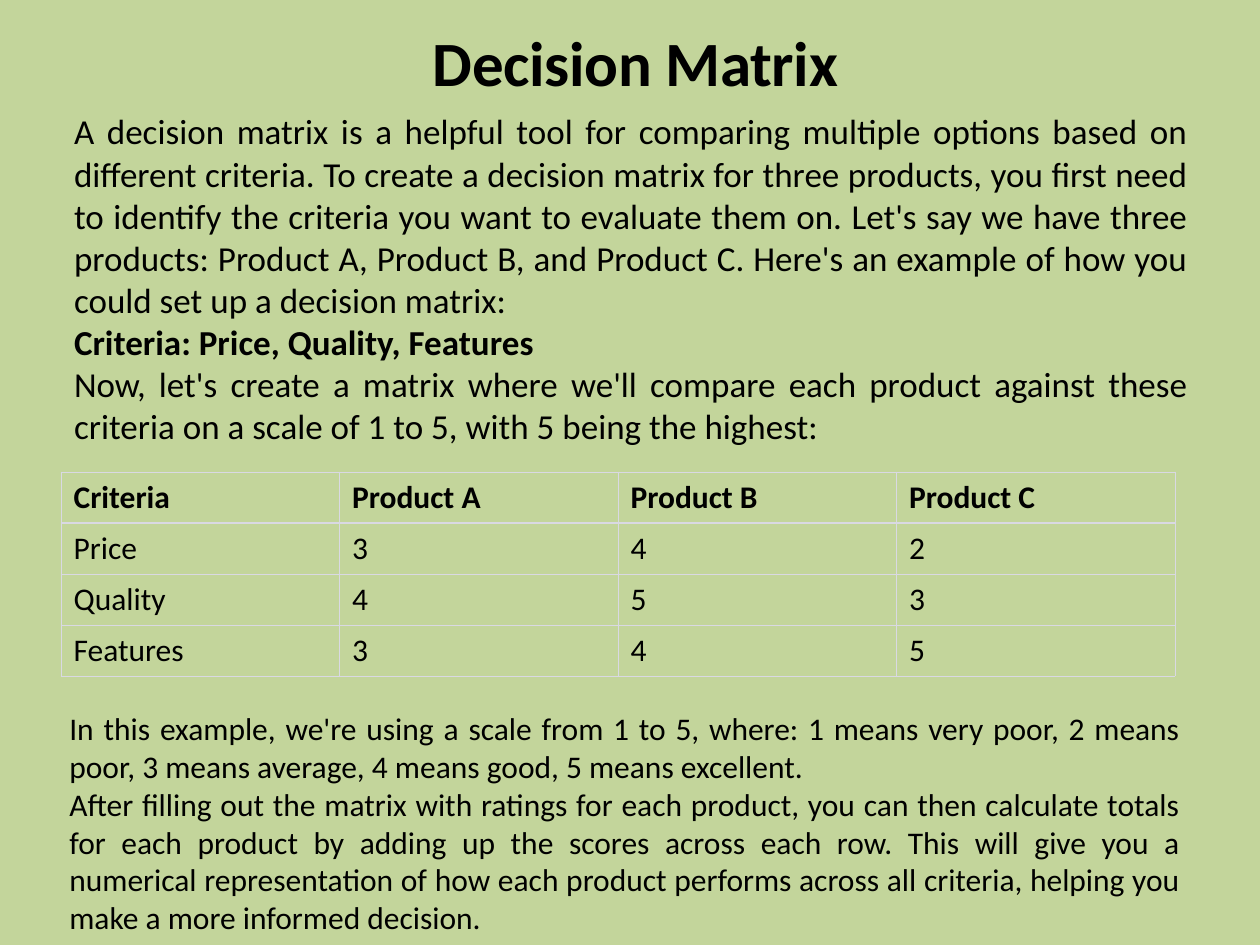
import pptx
import pptx.dml.color
import pptx.enum.text
import pptx.oxml
import pptx.oxml.ns
import pptx.util

PX = 914400 / 126
BLACK = pptx.dml.color.RGBColor(0x00, 0x00, 0x00)
GREEN = pptx.dml.color.RGBColor(0xC3, 0xD5, 0x9B)
BORDER = pptx.dml.color.RGBColor(0xD9, 0xD9, 0xE3)
ALIGN = pptx.enum.text.PP_ALIGN
ANCHOR = pptx.enum.text.MSO_ANCHOR

INTRODUCTION = [
    ("A decision matrix is a helpful tool for comparing multiple options based on "
     "different criteria. To create a decision matrix for three products, you first "
     "need to identify the criteria you want to evaluate them on. Let's say we have "
     "three products: Product A, Product B, and Product C. Here's an example of how "
     "you could set up a decision matrix:", False),
    ("Criteria: Price, Quality, Features", True),
    ("Now, let's create a matrix where we'll compare each product against these "
     "criteria on a scale of 1 to 5, with 5 being the highest:", False),
]
EXPLANATION = [
    ("In this example, we're using a scale from 1 to 5, where: 1 means very poor, "
     "2 means poor, 3 means average, 4 means good, 5 means excellent.", False),
    ("After filling out the matrix with ratings for each product, you can then "
     "calculate totals for each product by adding up the scores across each row. "
     "This will give you a numerical representation of how each product performs "
     "across all criteria, helping you make a more informed decision.", False),
]
MATRIX = [
    ("Criteria", "Product A", "Product B", "Product C"),
    ("Price", "3", "4", "2"),
    ("Quality", "4", "5", "3"),
    ("Features", "3", "4", "5"),
]


def px(length):
    return pptx.util.Emu(round(length * PX))


def set_values(target, values):
    for name, value in values.items():
        setattr(target, name, value)


def place(shape, left, top, width, height):
    set_values(shape, {"left": px(left), "top": px(top),
                       "width": px(width), "height": px(height)})


def add_run(paragraph, text, size, bold):
    run = paragraph.add_run()
    run.text = text
    set_values(run.font, {"name": "Calibri", "size": pptx.util.Pt(size), "bold": bold})
    run.font.color.rgb = BLACK
    return run


def remove_bullet(paragraph):
    properties = paragraph._p.get_or_add_pPr()
    set_indents = {"marL": "0", "indent": "0"}
    for name, value in set_indents.items():
        properties.set(name, value)
    properties.append(pptx.oxml.parse_xml(
        f"<a:buNone {pptx.oxml.ns.nsdecls('a')}/>"))


def set_frame(frame, margins):
    set_values(frame, {"word_wrap": True, "vertical_anchor": ANCHOR.TOP,
                       "auto_size": pptx.enum.text.MSO_AUTO_SIZE.SHAPE_TO_FIT_TEXT})
    set_values(frame, margins)


def fill_title(shape, text):
    place(shape, 74, 23, 1123, 77)
    set_frame(shape.text_frame, NO_MARGINS)
    paragraph = shape.text_frame.paragraphs[0]
    paragraph.alignment = ALIGN.CENTER
    run = add_run(paragraph, text, 36, True)
    run._r.get_or_add_rPr().set("spc", "-20")


def fill_paragraphs(frame, items, size):
    """Write (text, bold) items as justified paragraphs without bullets."""
    for index, (text, bold) in enumerate(items):
        paragraph = frame.add_paragraph() if index else frame.paragraphs[0]
        remove_bullet(paragraph)
        set_values(paragraph, {"alignment": ALIGN.JUSTIFY,
                               "space_before": pptx.util.Pt(0)})
        add_run(paragraph, text, size, bold)


def set_borders(cell, bottom_width):
    properties = cell._tc.get_or_add_tcPr()
    widths = {"lnL": 0.5, "lnR": 0.5, "lnT": 0.5, "lnB": bottom_width}
    for tag, width in widths.items():
        properties.append(pptx.oxml.parse_xml(
            f'<a:{tag} {pptx.oxml.ns.nsdecls("a")} w="{pptx.util.Pt(width)}">'
            f'<a:solidFill><a:srgbClr val="{BORDER}"/></a:solidFill></a:{tag}>'))


def add_matrix(slide, rows):
    table = slide.shapes.add_table(len(rows), len(rows[0]), px(61), px(472),
                                   px(1114), px(204)).table
    set_values(table, {"first_row": False, "horz_banding": False})
    for row_index, row in enumerate(rows):
        is_header = row_index == 0
        for column_index, text in enumerate(row):
            cell = table.cell(row_index, column_index)
            set_borders(cell, 1 if is_header else 0.5)
            cell.fill.background()
            cell.vertical_anchor = ANCHOR.BOTTOM if is_header else ANCHOR.MIDDLE
            add_run(cell.text_frame.paragraphs[0], text, 18, is_header)


NO_MARGINS = {"margin_left": 0, "margin_top": 0, "margin_right": 0, "margin_bottom": 0}


def main():
    presentation = pptx.Presentation()
    set_values(presentation, {"slide_width": px(1260), "slide_height": px(945)})
    slide = presentation.slides.add_slide(presentation.slide_layouts[1])
    slide.background.fill.solid()
    slide.background.fill.fore_color.rgb = GREEN

    fill_title(slide.shapes.title, "Decision Matrix")

    introduction = slide.placeholders[1]
    place(introduction, 74, 110, 1114, 420)
    set_frame(introduction.text_frame, NO_MARGINS)
    fill_paragraphs(introduction.text_frame, INTRODUCTION, 20)

    add_matrix(slide, MATRIX)

    explanation = slide.shapes.add_textbox(px(57), px(703), px(1136), px(242))
    set_frame(explanation.text_frame, {})
    fill_paragraphs(explanation.text_frame, EXPLANATION, 18)

    presentation.save("out.pptx")


if __name__ == "__main__":
    main()
